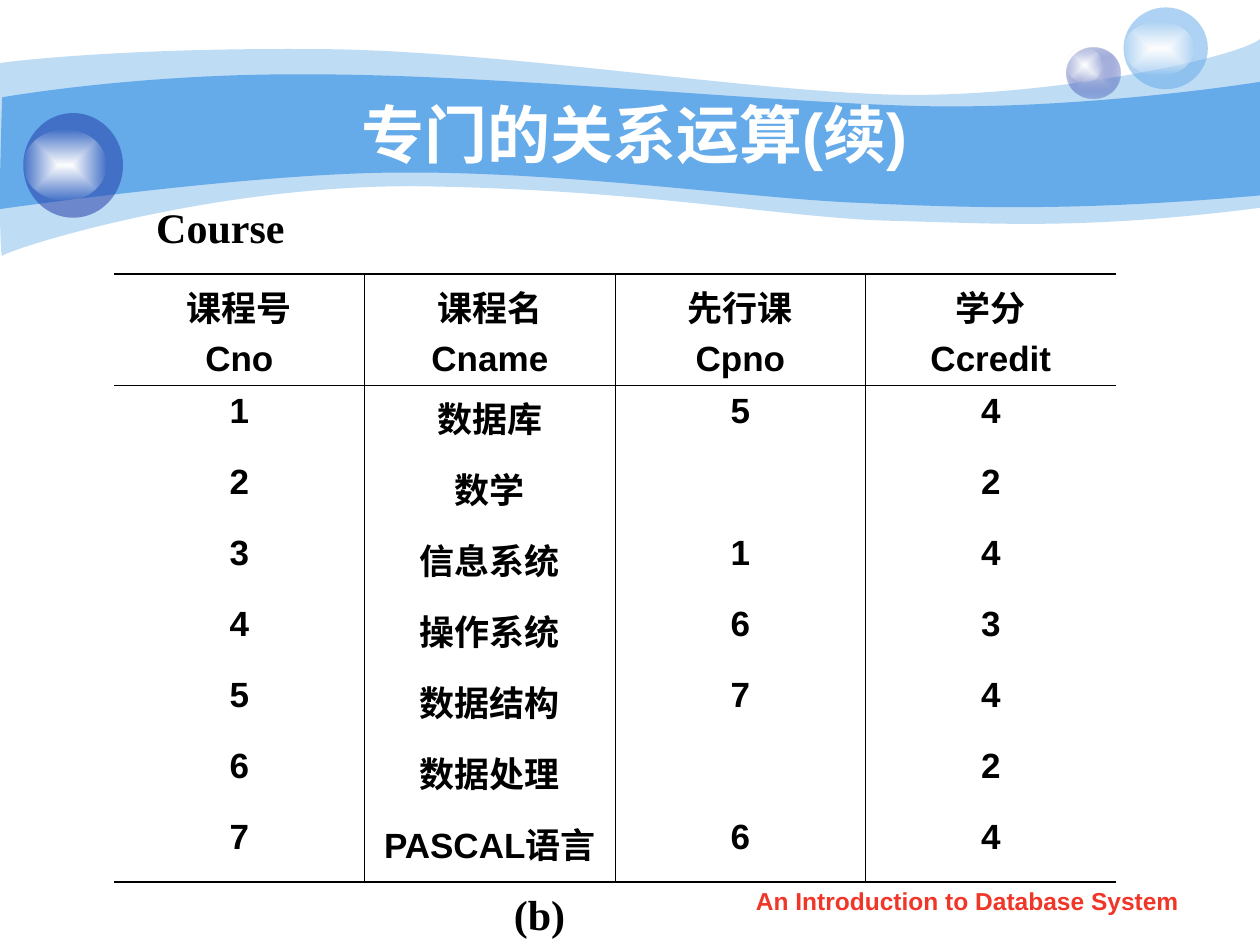
from lxml import etree
from pptx import Presentation, util as u
from pptx.dml.color import RGBColor
from pptx.enum import shapes, text
from pptx.oxml import parse_xml
from pptx.oxml.ns import nsdecls, qn

BLACK, WHITE, SKY, NAVY, RED = "000000", "FFFFFF", "65AAE9", "233DA9", "F03628"


def color_xml(tag, value, opacity=100, attrs=""):
    """A DrawingML element holding one colour with an opacity in percent."""
    return (f'<a:{tag} {nsdecls("a")} {attrs}><a:srgbClr val="{value}">'
            f'<a:alpha val="{opacity * 1000}"/></a:srgbClr></a:{tag}>')


def style_text(frame, size, font, value, align):
    """Format every run of a text frame alike."""
    for paragraph in frame.paragraphs:
        paragraph.alignment = align
        for run in paragraph.runs:
            run.font.size, run.font.name, run.font.bold = u.Pt(size), font, True
            run.font.color.rgb = RGBColor.from_string(value)


prs = Presentation()
prs.slide_width, prs.slide_height = u.Cm(25.4), u.Cm(19.05)
slide = prs.slides.add_slide(prs.slide_layouts[5])
LEFT, CENTER = text.PP_ALIGN.LEFT, text.PP_ALIGN.CENTER

# Waves: an upper and a lower edge, each a chain of cubic curves (cm)
waves = [
    (41,
     [(0, 1.27), (0.61, 1.19), (2.74, 0.97), (6.27, 0.99), (9.8, 0.99),
      (14.6, 1.78), (17.75, 1.9), (20.88, 2.03), (24.89, 1.19), (25.4, 0.79)],
     [(25.4, 4.19), (21.79, 4.65), (20.02, 4.5), (17.91, 4.45), (15.8, 4.39),
      (13.08, 3.84), (8.71, 3.76), (4.37, 3.66), (0.1, 5.05), (0.05, 5.16),
      (-0.03, 5.28), (0, 1.9), (0, 1.27)]),
    (100,
     [(0.05, 1.96), (0.08, 1.96), (2.79, 1.47), (6.3, 1.5), (9.83, 1.5),
      (15.14, 2.03), (18.24, 2.13), (21.36, 2.24), (24.79, 1.75), (25.4, 1.65)],
     [(25.4, 3.94), (21.67, 4.27), (19.46, 4.19), (17.32, 4.09), (15.21, 4.01),
      (11.35, 3.45), (8.05, 3.48), (5.16, 3.48), (-0.05, 4.22), (-0.03, 4.22),
      (0, 4.22), (0.03, 1.96), (0.05, 1.96)]),
]
for opacity, upper, lower in waves:
    points = [(u.Cm(x), u.Cm(y)) for x, y in upper + lower]
    builder = slide.shapes.build_freeform(*points[0])
    builder.add_line_segments(points[1:], close=True)
    wave = builder.convert_to_shape()
    # Turn every three vertices into one curve; the line between the edges stays
    vertices = list(wave._element.iter(qn("a:lnTo")))
    side = len(upper) - 1
    for chain in (vertices[:side], vertices[side + 1:]):
        for i in range(0, len(chain), 3):
            curve = etree.Element(qn("a:cubicBezTo"))
            chain[i].addprevious(curve)
            for vertex in chain[i:i + 3]:
                curve.append(vertex[0])
                vertex.getparent().remove(vertex)
    wave.shadow.inherit = False
    wave.line.fill.background()
    wave.fill.solid()
    wave.fill.fore_color.rgb = RGBColor.from_string(SKY)
    etree.SubElement(wave.fill.fore_color._xFill[0], qn("a:alpha"), val=str(opacity * 1000))

# Balls and their highlights: box in cm, centre (colour, opacity), rim (colour, opacity)
shine = ((WHITE, 100), (WHITE, 0))
balls = [
    ((21.51, 0.97, 1.07, 1.02), ("C7CEE9", 100), (NAVY, 31)),
    ((21.51, 0.97, 0.71, 0.69), *shine),
    ((22.65, 0.15, 1.7, 1.65), (SKY, 53), (SKY, 53)),
    ((22.65, 0.43, 1.42, 1.09), *shine),
    ((0.47, 2.28, 2.01, 2.11), (NAVY, 53), (NAVY, 53)),
    ((0.47, 2.62, 1.68, 1.42), *shine),
]
for box, centre, rim in balls:
    ball = slide.shapes.add_shape(shapes.MSO_SHAPE.OVAL, *map(u.Cm, box))
    ball.shadow.inherit = False
    ball.line.fill.background()
    if centre == rim:
        fill = color_xml("solidFill", *rim)
    else:
        fill = (f'<a:gradFill {nsdecls("a")}><a:gsLst>'
                + color_xml("gs", *centre, 'pos="0"') + color_xml("gs", *rim, 'pos="100000"')
                + '</a:gsLst><a:path path="rect"><a:fillToRect l="50000" t="50000" '
                  'r="50000" b="50000"/></a:path></a:gradFill>')
    ball._element.spPr.find(qn("a:prstGeom")).addnext(parse_xml(fill))

# Footer, drawn behind the title
labels = [
    ("An Introduction to Database System", (14.5, 17.73, 10.01, 0.89), 14, "Arial", RED, CENTER),
    ("Course", (2.9, 3.94, 3.1, 1.27), 24, "Times New Roman", BLACK, LEFT),
    ("(b)", (10.11, 17.78, 1.55, 1.27), 24, "Times New Roman", BLACK, LEFT),
]

# Title, brought in front of the waves
title = slide.shapes.title
title.left, title.top, title.width, title.height = map(u.Cm, (2.54, 1.9, 20.52, 1.57))
title.text_frame.text = "专门的关系运算(续)"
title.text_frame.auto_size = text.MSO_AUTO_SIZE.NONE
title.text_frame.vertical_anchor = text.MSO_ANCHOR.MIDDLE
style_text(title.text_frame, 36, "Arial", WHITE, CENTER)
slide.shapes._spTree.append(title._element)

# Course table
courses = [
    ("课程号\nCno", "课程名\nCname", "先行课\nCpno", "学分\nCcredit"),
    ("1", "数据库", "5", "4"),
    ("2", "数学", "", "2"),
    ("3", "信息系统", "1", "4"),
    ("4", "操作系统", "6", "3"),
    ("5", "数据结构", "7", "4"),
    ("6", "数据处理", "", "2"),
    ("7", "PASCAL语言", "6", "4"),
]
last_row, last_col = len(courses) - 1, len(courses[0]) - 1
frame = slide.shapes.add_table(len(courses), len(courses[0]),
                               *map(u.Cm, (2.3, 5.53, 20.2, 12.14)))
table = frame.table
table.first_row = table.horz_banding = False
NO_STYLE = "{2D5ABB26-0587-4C30-8999-92F81FD0307C}"
table._tbl.tblPr.find(qn("a:tableStyleId")).text = NO_STYLE
for column in table.columns:
    column.width = u.Cm(5.05)
for r, course in enumerate(courses):
    table.rows[r].height = u.Cm(1.43 if r else 2.13)
    for c, value in enumerate(course):
        cell = table.cell(r, c)
        cell.text_frame.text = value
        style_text(cell.text_frame, 20, "Arial", BLACK, CENTER)
        for paragraph in cell.text_frame.paragraphs[1:]:
            paragraph.space_before = u.Pt(5)
        # Rules: thin between columns and under the header, heavier at top and bottom
        borders = [("lnL", 0.45 if c > 0 else 0),
                   ("lnR", 0.45 if c < last_col else 0),
                   ("lnT", {0: 1.08, 1: 0.45}.get(r, 0)),
                   ("lnB", {0: 0.45, last_row: 1.08}.get(r, 0))]
        properties = cell._tc.get_or_add_tcPr()
        for side, width in borders:
            line = etree.SubElement(properties, qn(f"a:{side}"))
            if width:
                line.set("w", str(u.Pt(width)))
                line.append(parse_xml(color_xml("solidFill", BLACK)))
            else:
                etree.SubElement(line, qn("a:noFill"))
        cell.fill.background()

# Footer, table name and caption
for words, box, size, font, value, align in labels:
    label = slide.shapes.add_textbox(*map(u.Cm, box)).text_frame
    label.word_wrap = align == CENTER
    label.text = words
    style_text(label, size, font, value, align)

prs.save("out.pptx")
